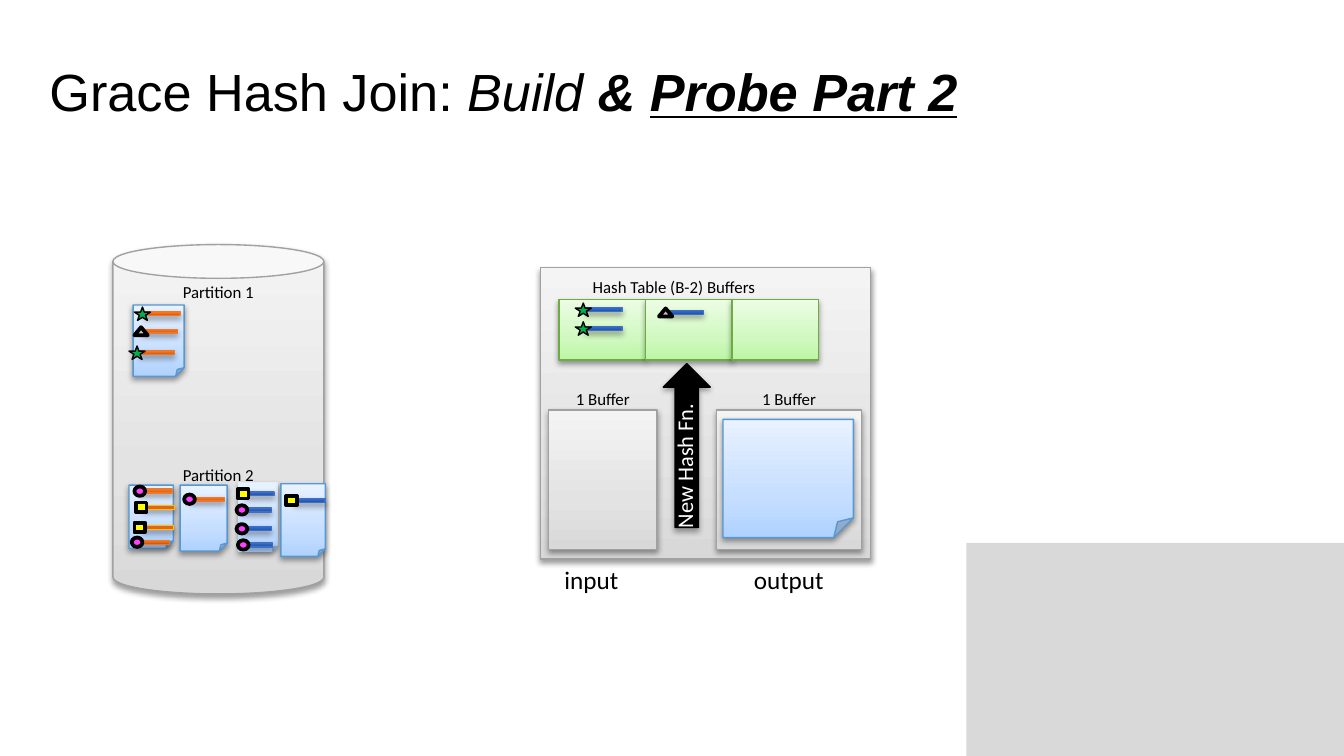
import collections
import dataclasses

import pptx
import pptx.dml.color
import pptx.enum.shapes
import pptx.enum.text
import pptx.oxml.ns
import pptx.util
from lxml import etree

SHAPE = pptx.enum.shapes.MSO_SHAPE
ALIGN = pptx.enum.text.PP_ALIGN
UNIT = pptx.util.Inches(0.01)  # one column or row of the slide grid
COLS, ROWS = 1000, 562.5

Paint = collections.namedtuple("Paint", "stops line")
Shadow = collections.namedtuple("Shadow", "alpha blur dist")
Marker = collections.namedtuple("Marker", "shape w h lead fill weight")


@dataclasses.dataclass(frozen=True)
class Theme:
    heading: str = "Arial"
    body: str = "Calibri"
    title: float = 28
    port: float = 13.5
    arrow: float = 12
    label: float = 9
    text: str = "000000"
    inverse: str = "FFFFFF"
    corner: str = "D9D9D9"
    line: float = 0.75
    gray: Paint = Paint([(0, "D8D8D8"), (35, "E3E3E3"), (100, "F4F4F4")], "A1A1A1")
    green: Paint = Paint([(0, "BCF6A4"), (35, "D0F8BF"), (100, "ECFDE5")], "6DAC43")
    page: Paint = Paint([(0, "AFD2FF"), (35, "C6DEFF"), (100, "E9F2FF")], "5698D3")
    orange: Paint = Paint([(0, "C3580F"), (80, "FF7416"), (100, "FF7517")], "EC792B")
    amber: Paint = Paint([(0, "E16513")], "FFC000")
    blue: Paint = Paint([(0, "24509E"), (80, "2F69D0"), (100, "2C69D4")], "3F6EC3")
    soft: Shadow = Shadow(38, 3, 1.6)
    firm: Shadow = Shadow(35, 3, 1.8)


T = Theme()
STAR = Marker(SHAPE.STAR_5_POINT, 12, 10, 8, "00B050", T.line)
TRIANGLE = Marker(SHAPE.ISOSCELES_TRIANGLE, 10, 6, 6, "BFBFBF", 2)
CIRCLE = Marker(SHAPE.OVAL, 8, 7, 5, "FF40FF", 2)
SQUARE = Marker(SHAPE.RECTANGLE, 8, 7, 6, "FFFF00", 2)


class Box(collections.namedtuple("Box", "x y w h")):
    def inner(self, dx, dy, w, h):
        """Return a box offset from this one's top left corner."""
        return Box(self.x + dx, self.y + dy, w, h)

    def emu(self):
        return [round(v * UNIT) for v in self]


def rgb(value):
    return pptx.dml.color.RGBColor.from_string(value)


def add_xml(parent, tag, **attrs):
    return etree.SubElement(parent, pptx.oxml.ns.qn(tag), {k: str(v) for k, v in attrs.items()})


def add_color(parent, value):
    return add_xml(parent, "a:srgbClr", val=value)


def add_shape(s, kind, box, paint, shadow=None, weight=T.line):
    sp = s.shapes.add_shape(kind, *box.emu())
    if len(paint.stops) == 1:
        sp.fill.solid()
        sp.fill.fore_color.rgb = rgb(paint.stops[0][1])
    else:
        sp.fill.gradient()
        sp.fill.gradient_angle = 90
        stops = sp._element.spPr.find(".//" + pptx.oxml.ns.qn("a:gsLst"))
        stops.clear()
        for pos, value in paint.stops:
            add_color(add_xml(stops, "a:gs", pos=pos * 1000), value)
    if paint.line:
        sp.line.color.rgb = rgb(paint.line)
        sp.line.width = pptx.util.Pt(weight)
    else:
        sp.line.fill.background()
    sp.shadow.inherit = False
    if shadow:
        effects = sp._element.spPr.find(pptx.oxml.ns.qn("a:effectLst"))
        outer = add_xml(effects, "a:outerShdw", blurRad=int(pptx.util.Pt(shadow.blur)),
                        dist=int(pptx.util.Pt(shadow.dist)), dir=5400000, rotWithShape=0)
        add_xml(add_color(outer, T.text), "a:alpha", val=shadow.alpha * 1000)
    return sp


def add_text(s, box, runs, size, font=T.body, color=T.text, align=ALIGN.LEFT,
             wrap=True, inset=(4, 5)):
    """Add one paragraph; each run is (text, bold, italic, underline)."""
    sp = s.shapes.add_textbox(*box.emu())
    tf = sp.text_frame
    tf.word_wrap = wrap
    tf.margin_left = tf.margin_right = inset[0] * UNIT
    tf.margin_top = tf.margin_bottom = inset[1] * UNIT
    p = tf.paragraphs[0]
    p.alignment = align
    for text, bold, italic, underline in runs:
        r = p.add_run()
        r.text = text
        r.font.name, r.font.size = font, pptx.util.Pt(size)
        r.font.color.rgb = rgb(color)
        r.font.bold, r.font.italic, r.font.underline = bold, italic, underline
    return sp


def add_label(s, box, text, size=T.label, **style):
    return add_text(s, box, [(text, False, False, False)], size, **style)


def add_record(s, box, paint, marker):
    """Draw a tuple: a bar filling the box, with its key marker on the left end."""
    add_shape(s, SHAPE.RECTANGLE, box, paint, T.firm)
    spot = box.inner(-marker.lead, (box.h - marker.h) / 2, marker.w, marker.h)
    add_shape(s, marker.shape, spot, Paint([(0, marker.fill)], T.text), weight=marker.weight)


def add_page(s, box, length=0, records=(), outlined=True):
    paint = T.page if outlined else T.page._replace(line=None)
    add_shape(s, SHAPE.FOLDED_CORNER, box, paint, T.soft)
    for dx, dy, bar, marker in records:
        add_record(s, box.inner(dx, dy, length, 3), bar, marker)


def add_title(s, box):
    add_text(s, box, [("Grace Hash Join: ", False, False, False),
                      ("Build", False, True, False),
                      (" & ", True, True, False),
                      ("Probe Part 2", True, True, True)],
             T.title, T.heading, inset=(10, 10))


def add_disk(s, box):
    can = add_shape(s, SHAPE.CAN, box, T.gray, T.soft)
    can.adjustments[0] = 0.16
    add_page(s, box.inner(15, 45, 38, 53), 26, [
        (7, 18, T.orange, TRIANGLE), (9, 5, T.orange, STAR), (5, 34, T.orange, STAR)])
    add_page(s, box.inner(93, 177, 30, 52), 21, [
        (4, 19, T.blue, CIRCLE), (4, 33, T.blue, CIRCLE),
        (6, 7, T.blue, SQUARE), (5, 45, T.blue, CIRCLE)], outlined=False)
    add_page(s, box.inner(50, 179, 35, 49), 25, [(8, 9, T.orange, CIRCLE)])
    add_page(s, box.inner(12, 179, 33, 47), 23, [
        (9, 3, T.orange, CIRCLE), (11, 15, T.amber, SQUARE),
        (7, 41, T.orange, CIRCLE), (10, 30, T.amber, SQUARE)])
    add_page(s, box.inner(125, 178, 33, 54), 23, [(10, 11, T.blue, SQUARE)])
    for number, dy in enumerate((23, 159), 1):
        add_label(s, box.inner(48, dy, 70, 25), f"Partition {number}")


def add_hash_table(s, box):
    cells = [box.inner(i * box.w / 3, 0, box.w / 3, box.h) for i in range(3)]
    for cell in cells:
        add_shape(s, SHAPE.RECTANGLE, cell, T.green, T.soft)
    for cell, dx, dy, marker in ((cells[0], 20, 6, STAR), (cells[0], 20, 20, STAR),
                                 (cells[1], 16, 8, TRIANGLE)):
        add_record(s, cell.inner(dx, dy, 27, 3), T.blue, marker)


def add_buffer(s, box):
    add_shape(s, SHAPE.RECTANGLE, box, T.gray, T.soft)
    add_label(s, box.inner(0, -20, box.w, 23), "1 Buffer", align=ALIGN.CENTER, inset=(4, 4))


def add_memory(s, box):
    add_shape(s, SHAPE.RECTANGLE, box, T.gray, T.soft)
    add_label(s, box.inner(35, 2, 131, 25), "Hash Table (B-2) Buffers", wrap=False)
    add_hash_table(s, box.inner(14, 24, 193, 45))
    add_buffer(s, box.inner(6, 106, 81, 104))
    add_buffer(s, box.inner(131, 106, 108, 104))
    add_page(s, box.inner(136, 113, 97, 88))
    for dx, w, text in ((14, 48, "input"), (155, 60, "output")):
        add_label(s, box.inner(dx, 216, w, 33), text, T.port, wrap=False)
    arrow = add_shape(s, SHAPE.RIGHT_ARROW, box.inner(48, 115, 122, 35),
                      Paint([(0, T.text)], T.text), T.firm)
    caption = add_label(s, box.inner(44, 121, 126, 28), "New Hash Fn.", T.arrow,
                        color=T.inverse, inset=(4, 4))
    arrow.rotation = caption.rotation = 270


def main():
    prs = pptx.Presentation()
    prs.slide_width, prs.slide_height = round(COLS * UNIT), round(ROWS * UNIT)
    s = prs.slides.add_slide(prs.slide_layouts[6])
    add_shape(s, SHAPE.RECTANGLE, Box(719, 404, COLS - 719, ROWS - 404),
              Paint([(0, T.corner)], None))
    add_title(s, Box(27, 34, 823, 125))
    add_memory(s, Box(402, 199, 246, 217))
    add_disk(s, Box(84, 182, 157, 260))
    prs.save("out.pptx")


if __name__ == "__main__":
    main()
